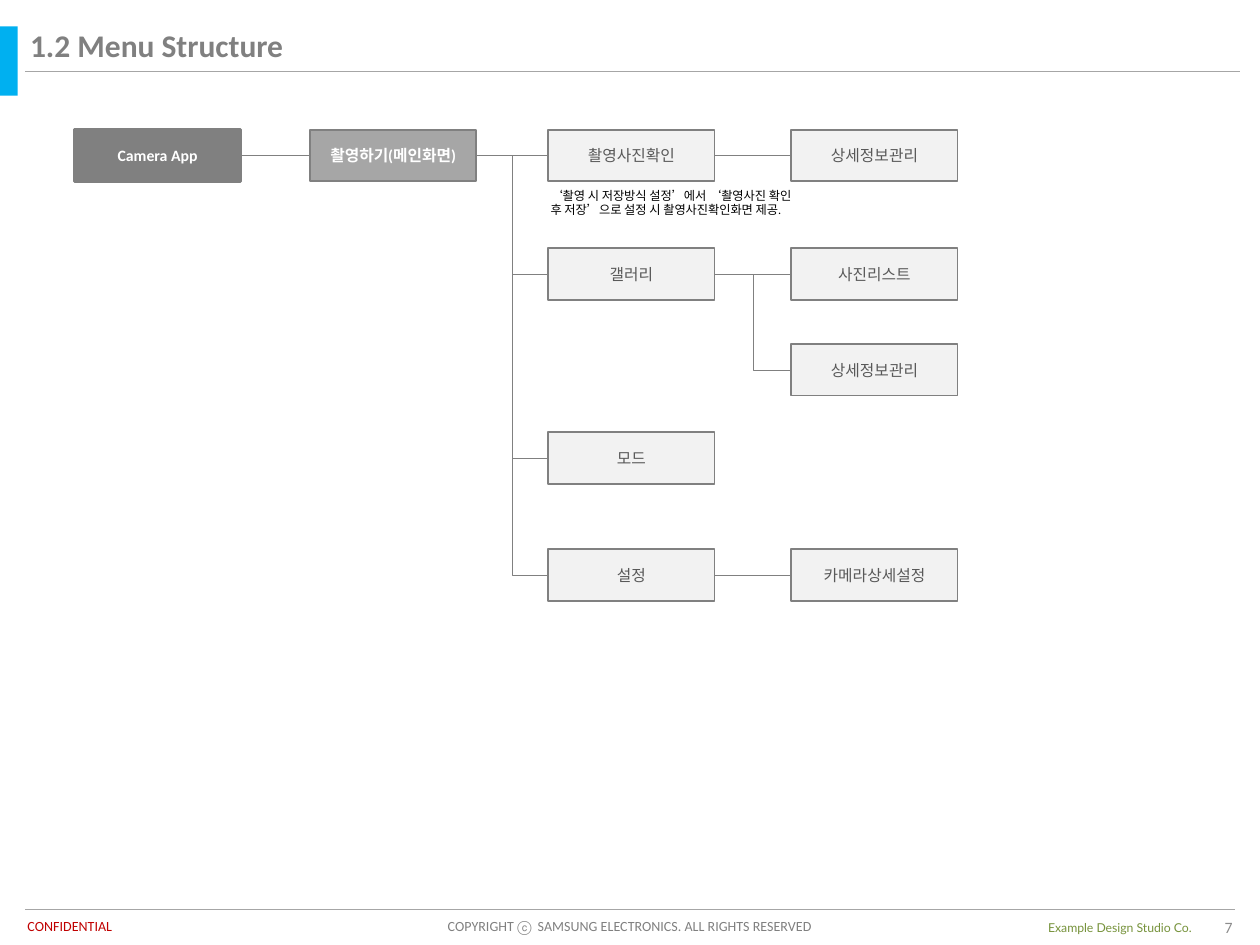
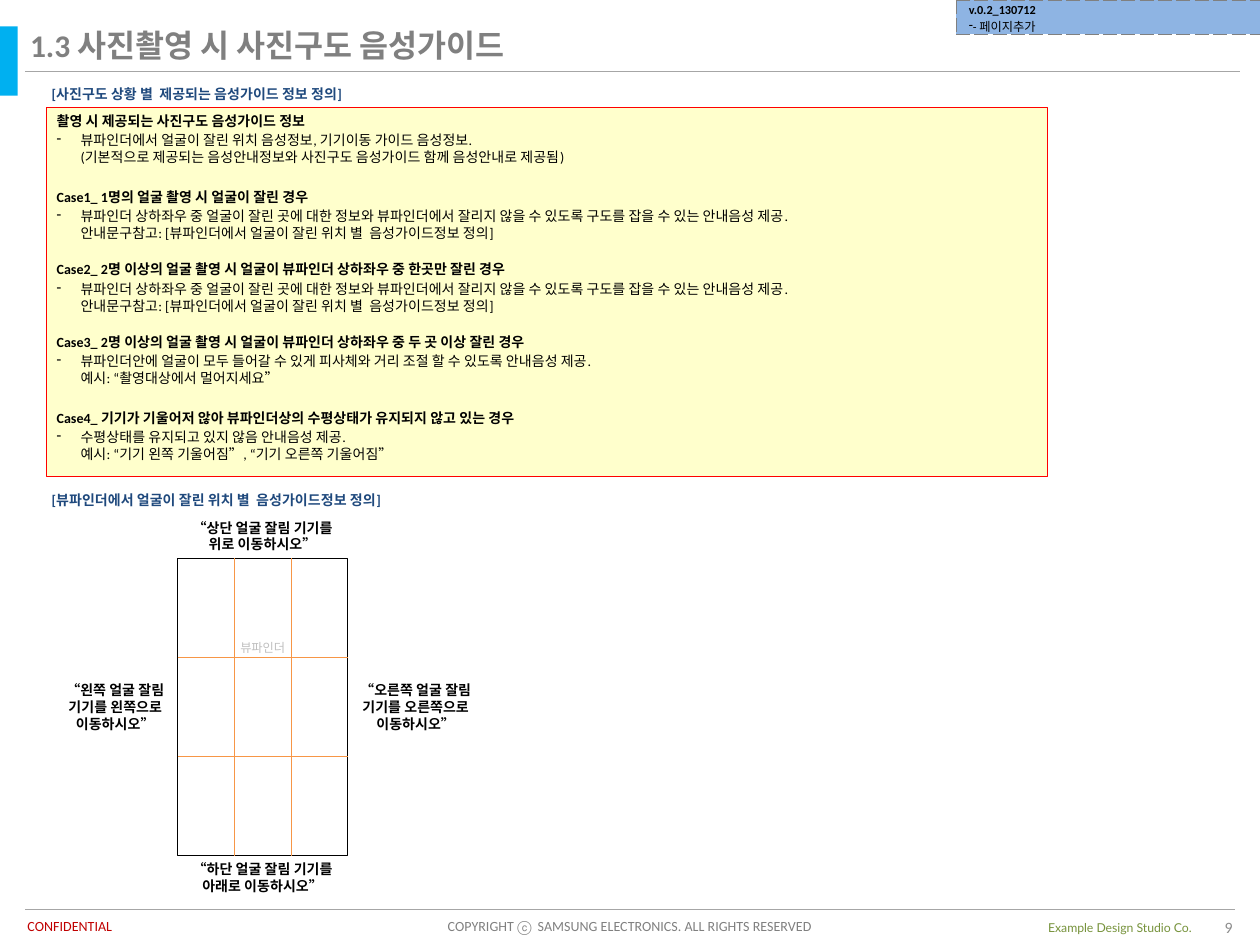
from lxml.etree import SubElement
from pptx import Presentation
from pptx.dml.color import RGBColor
from pptx.enum.shapes import MSO_CONNECTOR as CONN, MSO_SHAPE as SHAPE
from pptx.enum.text import MSO_ANCHOR as ANCHOR, PP_ALIGN as ALIGN
from pptx.oxml.ns import qn
from pptx.util import Inches, Pt

COLORS = {
    "accent": "00B0F0", "rule": "A6A6A6", "gray": "808080", "page": "8C8C8C",
    "alert": "C00000", "partner": "77933C", "white": "FFFFFF", "black": "000000",
    "box": "F2F2F2", "box_text": "595959", "heading": "1F497D", "note": "FFFFCC",
    "note_line": "FF0000", "grid": "F79646", "faint": "BFBFBF", "version": "8EB4E3",
}
TIGHT = (0.04, 0.04, 0.04, 0.04)
NORMAL = (0.1, 0.05, 0.1, 0.05)

BOX_W, BOX_H = 1.32, 0.41
COLUMNS = (0.59, 2.46, 4.35, 6.28)
ROWS = (1.03, 1.97, 2.73, 3.43, 4.36)
# name: (column, row, label)
MENU = {
    "app": (0, 0, "Camera App"),
    "main": (1, 0, "촬영하기(메인화면)"),
    "check": (2, 0, "촬영사진확인"),
    "check_detail": (3, 0, "상세정보관리"),
    "gallery": (2, 1, "갤러리"),
    "photo_list": (3, 1, "사진리스트"),
    "photo_detail": (3, 2, "상세정보관리"),
    "mode": (2, 3, "모드"),
    "settings": (2, 4, "설정"),
    "camera_settings": (3, 4, "카메라상세설정"),
}
MENU_STYLES = {
    "app": dict(fill="gray", width=1.5, color="white", bold=True),
    "main": dict(fill="rule", width=1, color="white", bold=True),
}
LINKS = [
    ("app", "main"), ("main", "check"), ("main", "gallery"), ("main", "mode"),
    ("main", "settings"), ("check", "check_detail"), ("gallery", "photo_list"),
    ("gallery", "photo_detail"), ("settings", "camera_settings"),
]

CUT_FACE = ("뷰파인더 상하좌우 중 얼굴이 잘린 곳에 대한 정보와 뷰파인더에서 잘리지 않을 수 있도록 "
            "구도를 잡을 수 있는 안내음성 제공.\n"
            "안내문구참고: [뷰파인더에서 얼굴이 잘린 위치 별  음성가이드정보 정의]")
# (space before the heading, heading, detail)
CASES = [
    (0, "촬영 시 제공되는 사진구도 음성가이드 정보",
     "뷰파인더에서 얼굴이 잘린 위치 음성정보, 기기이동 가이드 음성정보.\n"
     "(기본적으로 제공되는 음성안내정보와 사진구도 음성가이드 함께 음성안내로 제공됨)"),
    (13, "Case1_ 1명의 얼굴 촬영 시 얼굴이 잘린 경우", CUT_FACE),
    (11, "Case2_ 2명 이상의 얼굴 촬영 시 얼굴이 뷰파인더 상하좌우 중 한곳만 잘린 경우", CUT_FACE),
    (11, "Case3_ 2명 이상의 얼굴 촬영 시 얼굴이 뷰파인더 상하좌우 중 두 곳 이상 잘린 경우",
     "뷰파인더안에 얼굴이 모두 들어갈 수 있게 피사체와 거리 조절 할 수 있도록 안내음성 제공.\n"
     "예시: “촬영대상에서 멀어지세요”"),
    (13, "Case4_ 기기가 기울어저 않아 뷰파인더상의 수평상태가 유지되지 않고 있는 경우",
     "수평상태를 유지되고 있지 않음 안내음성 제공.\n예시: “기기 왼쪽 기울어짐”, “기기 오른쪽 기울어짐”"),
]


def rgb(name):
    return RGBColor.from_string(COLORS[name])


def write(tf, text, size=8, color="black", bold=False, font="Calibri",
          align=ALIGN.LEFT, before=0, bullet=None, indent=0):
    """Add a paragraph; text is a string or a list of (string, font) runs."""
    p = tf.paragraphs[0]
    if p.runs:
        p = tf.add_paragraph()
    if bullet:
        pPr = p._p.get_or_add_pPr()
        pPr.set("marL", str(Inches(indent)))
        pPr.set("indent", str(-Inches(indent)))
        SubElement(pPr, qn("a:buChar"), char=bullet)
    p.alignment = align
    if before:
        p.space_before = Pt(before)
    for part, face in [(text, font)] if isinstance(text, str) else text:
        for i, line in enumerate(part.split("\n")):
            if i:
                p.add_line_break()
            r = p.add_run()
            r.text = line
            r.font.name, r.font.size, r.font.bold = face, Pt(size), bold
            r.font.color.rgb = rgb(color)
    for br in p._p.findall(qn("a:br")):
        SubElement(br, qn("a:rPr"), sz=str(size * 100))


def set_frame(tf, insets=NORMAL, anchor=ANCHOR.TOP):
    tf.word_wrap = True
    tf.vertical_anchor = anchor
    tf.margin_left, tf.margin_top, tf.margin_right, tf.margin_bottom = map(Inches, insets)


def add_text(shapes, at, text, insets=NORMAL, anchor=ANCHOR.TOP, **fmt):
    tf = shapes.add_textbox(*map(Inches, at)).text_frame
    set_frame(tf, insets, anchor)
    write(tf, text, **fmt)


def add_rect(shapes, at, fill=None, line=None, width=0.25):
    sp = shapes.add_shape(SHAPE.RECTANGLE, *map(Inches, at))
    sp.shadow.inherit = False
    if fill:
        sp.fill.solid()
        sp.fill.fore_color.rgb = rgb(fill)
    else:
        sp.fill.background()
    if line:
        sp.line.color.rgb = rgb(line)
        sp.line.width = Pt(width)
    else:
        sp.line.fill.background()
    return sp


def add_line(shapes, x1, y1, x2, y2, color, width=0.25, kind=CONN.STRAIGHT):
    cx = shapes.add_connector(kind, *map(Inches, (x1, y1, x2, y2)))
    cx.line.color.rgb = rgb(color)
    cx.line.width = Pt(width)
    SubElement(cx._element.spPr, qn("a:effectLst"))
    return cx


def add_page(prs, title, number):
    """Add a slide with the shared title, band, rules and footer."""
    shapes = prs.slides.add_slide(prs.slide_layouts[6]).shapes
    add_line(shapes, 0.2, 7.22, 9.8, 7.22, "rule", 0.75)
    add_text(shapes, (0.12, 7.23, 1, 0.24), "CONFIDENTIAL", color="alert")
    add_text(shapes, (2.4, 7.23, 5.2, 0.24),
             "COPYRIGHT ⓒ  SAMSUNG ELECTRONICS. ALL RIGHTS RESERVED",
             color="gray", align=ALIGN.CENTER)
    add_text(shapes, (8.22, 7.25, 1.55, 0.22), "Example Design Studio Co.",
             anchor=ANCHOR.MIDDLE, size=7, font="Lato", color="partner")
    add_rect(shapes, (0, 0.21, 0.14, 0.55), "accent")
    add_line(shapes, 0.2, 0.57, 9.84, 0.57, "rule", 0.75)
    add_text(shapes, (0.14, 0.16, 9.66, 0.37), title, size=18, color="gray", bold=True)
    add_text(shapes, (9.17, 7.26, 0.71, 0.19), str(number), anchor=ANCHOR.MIDDLE,
             size=9, color="page", align=ALIGN.RIGHT)
    return shapes


def add_menu_box(shapes, col, row, label, fill="box", width=1, color="box_text", bold=False):
    sp = add_rect(shapes, (COLUMNS[col], ROWS[row], BOX_W, BOX_H), fill, "gray", width)
    set_frame(sp.text_frame, TIGHT, ANCHOR.MIDDLE)
    write(sp.text_frame, label, size=9, color=color, bold=bold, align=ALIGN.CENTER)
    return sp


def link(shapes, boxes, start, end):
    (c1, r1, _), (c2, r2, _) = MENU[start], MENU[end]
    kind = CONN.STRAIGHT if r1 == r2 else CONN.ELBOW
    cx = add_line(shapes, COLUMNS[c1] + BOX_W, ROWS[r1] + BOX_H / 2,
                  COLUMNS[c2], ROWS[r2] + BOX_H / 2, "gray", kind=kind)
    cx.begin_connect(boxes[start], 3)
    cx.end_connect(boxes[end], 1)


def add_version_tag(shapes, version, change):
    frame = shapes.add_table(1, 1, *map(Inches, (7.59, 0, 2.41, 0.27)))
    cell = frame.table.cell(0, 0)
    cell.vertical_anchor = ANCHOR.MIDDLE
    cell.margin_left = cell.margin_right = Inches(0.1)
    cell.margin_top = cell.margin_bottom = Inches(0.02)
    write(cell.text_frame, version, size=7, bold=True)
    write(cell.text_frame, change, size=7, bullet="-")
    tcPr = cell._tc.get_or_add_tcPr()
    for side in ("lnL", "lnR", "lnT", "lnB"):
        ln = SubElement(tcPr, qn(f"a:{side}"), w=str(Pt(0.5)))
        SubElement(SubElement(ln, qn("a:solidFill")), qn("a:srgbClr"), val=COLORS["gray"])
        SubElement(ln, qn("a:prstDash"), val="sysDash")
    cell.fill.solid()
    cell.fill.fore_color.rgb = rgb("version")


def add_cases(shapes):
    sp = add_rect(shapes, (0.37, 0.85, 7.94, 2.93), "note", "note_line")
    set_frame(sp.text_frame, (0.08, 0.04, 0.04, 0.04))
    for before, heading, detail in CASES:
        write(sp.text_frame, heading, bold=True, before=before)
        write(sp.text_frame, detail, before=1.7, bullet="-", indent=0.19)


def add_viewfinder(shapes, x, y, w, h):
    """Draw the frame with its rule-of-thirds grid."""
    group = shapes.add_group_shape().shapes
    sp = add_rect(group, (x, y, w, h), line="black")
    set_frame(sp.text_frame, (0.1, 0.65, 0.1, 0.05))
    write(sp.text_frame, "뷰파인더", size=7, color="faint", align=ALIGN.CENTER)
    for third in (1, 2):
        gx, gy = x + w * third / 3, y + h * third / 3
        add_line(group, gx, y, gx, y + h, "grid")
        add_line(group, x, gy, x + w, gy, "grid")


def build_menu_structure(prs):
    shapes = add_page(prs, "1.2 Menu Structure", 7)
    boxes = {name: add_menu_box(shapes, *place, **MENU_STYLES.get(name, {}))
             for name, place in MENU.items()}
    for start, end in LINKS:
        link(shapes, boxes, start, end)
    add_text(shapes, (4.33, 1.45, 2.04, 0.32),
             [("‘촬영 시 저장방식 설정’에서 ‘", "Calibri"), ("촬영사진 확인 후 저장’", "Arial"),
              ("으로 설정 시 촬영사진확인화면 제공.", "Calibri")], insets=TIGHT, size=7)


def build_voice_guide(prs):
    shapes = add_page(prs, "1.3 사진촬영 시 사진구도 음성가이드", 9)
    for y, heading in ((0.64, "[사진구도 상황 별  제공되는 음성가이드 정보 정의]"),
                       (3.86, "[뷰파인더에서 얼굴이 잘린 위치 별  음성가이드정보 정의]")):
        add_text(shapes, (0.37, y, 4, 0.21), heading, insets=TIGHT, color="heading", bold=True)
    add_cases(shapes)
    x, y, w, h = 1.41, 4.43, 1.35, 2.36
    add_viewfinder(shapes, x, y, w, h)
    for at, guide in (
            ((x, y - 0.35, w, 0.35), "“상단 얼굴 잘림 기기를 위로 이동하시오”"),
            ((x, y + h, w, 0.35), "“하단 얼굴 잘림 기기를 아래로 이동하시오”"),
            ((x - 0.99, 5.37, 0.99, 0.48), "“왼쪽 얼굴 잘림 기기를 왼쪽으로 이동하시오”"),
            ((x + w, 5.37, 1.08, 0.48), "“오른쪽 얼굴 잘림 기기를 오른쪽으로 이동하시오”")):
        add_text(shapes, at, guide, insets=TIGHT, font="Arial", bold=True, align=ALIGN.CENTER)
    add_version_tag(shapes, "v.0.2_130712", "- 페이지추가")


def main():
    prs = Presentation()
    prs.slide_width, prs.slide_height = Inches(10), Inches(7.5)
    build_menu_structure(prs)
    build_voice_guide(prs)
    prs.save("out.pptx")


if __name__ == "__main__":
    main()
